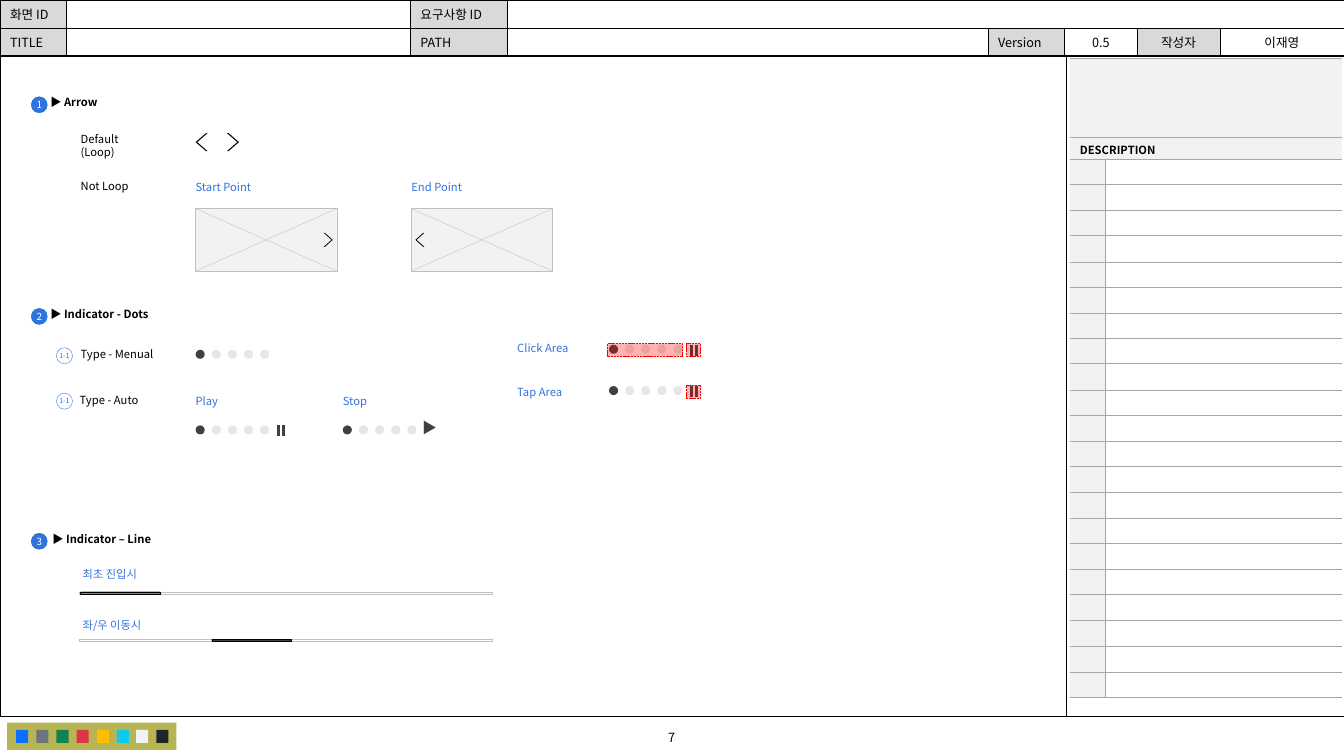
from dataclasses import dataclass

from lxml.etree import SubElement
from pptx import Presentation
from pptx.dml.color import RGBColor
from pptx.enum.dml import MSO_LINE
from pptx.enum.shapes import MSO_CONNECTOR, MSO_SHAPE as SHAPE
from pptx.enum.text import MSO_ANCHOR as ANCHOR, PP_ALIGN as ALIGN
from pptx.oxml.ns import qn
from pptx.util import Emu, Pt

SCALE = 9144
FONT = "Noto Sans CJK KR"
BLACK, WHITE, BLUE, DARK = "000000", "FFFFFF", "3272DE", "404040"
PALE, SILVER, PANEL, RED = "E7E6E6", "BFBFBF", "F2F2F2", "FF0000"
HEADER_GRAY, GRID_GRAY = "D9D9D9", "A6A6A6"
PALETTE = ["0D6EFD", "6C757D", "10834E", "DC3545", "FFBE00", "0DCAF0", "F2F2F2", "212529"]


@dataclass
class Section:
    number: str
    title: str
    left: int
    top: int


@dataclass
class Label:
    text: str
    left: int
    top: int
    width: int
    color: str = BLUE
    height: int = 13


@dataclass
class Dots:
    left: int
    top: int
    pause: bool = False


@dataclass
class HeaderCell:
    row: int
    column: int
    text: str
    centered: bool = False
    color: str = HEADER_GRAY


SECTIONS = [
    Section("1", "▶ Arrow", 40, 90),
    Section("2", "▶ Indicator - Dots", 40, 300),
    Section("3", "▶ Indicator – Line", 42, 523),
]
LABELS = [
    Label("Default (Loop)", 80, 131, 50, BLACK, 27),
    Label("Not Loop", 80, 178, 65, BLACK),
    Label("Start Point", 194, 179, 57),
    Label("End Point", 408, 179, 57),
    Label("Type - Menual", 80, 345, 123, BLACK),
    Label("Type - Auto", 79, 390, 82, BLACK),
    Label("Play", 194, 391, 28),
    Label("Stop", 340, 391, 28),
    Label("Click Area", 513, 339, 76),
    Label("Tap Area", 513, 382, 76),
    Label("최초 진입시", 82, 563, 63),
    Label("좌/우 이동시", 82, 613, 76),
]
INDICATORS = [Dots(194, 347), Dots(194, 422, True), Dots(340, 422),
              Dots(604, 342, True), Dots(604, 383, True)]
HEADER_CELLS = [
    HeaderCell(0, 0, "화면 ID"),
    HeaderCell(0, 2, "요구사항 ID"),
    HeaderCell(1, 0, "TITLE"),
    HeaderCell(1, 2, "PATH"),
    HeaderCell(1, 4, "Version"),
    HeaderCell(1, 5, "0.5", True, WHITE),
    HeaderCell(1, 6, "작성자", True),
    HeaderCell(1, 7, "이재영", True, WHITE),
]

presentation = Presentation()
presentation.slide_width, presentation.slide_height = Emu(1333 * SCALE), Emu(750 * SCALE)
slide = presentation.slides.add_slide(presentation.slide_layouts[6])


def px(*lengths: int) -> list[Emu]:
    """Turn px lengths into EMU."""
    return [Emu(length * SCALE) for length in lengths]


def rgb(color: str) -> RGBColor:
    """Make a colour from a hex string."""
    return RGBColor.from_string(color)


def write(frame, text: str, *, size: float = 8, color: str = BLACK, bold: bool = False,
          align=ALIGN.LEFT, anchor=ANCHOR.TOP, insets=(0, 0, 0, 0), wrap: bool = True) -> None:
    """Put one formatted paragraph into a text frame."""
    frame.word_wrap, frame.vertical_anchor = wrap, anchor
    frame.margin_left, frame.margin_top, frame.margin_right, frame.margin_bottom = px(*insets)
    paragraph = frame.paragraphs[0]
    paragraph.alignment = align
    run = paragraph.add_run()
    run.text = text
    run.font.size, run.font.bold, run.font.name = Pt(size), bold, FONT
    run.font.color.rgb = rgb(color)
    SubElement(run.font._element, qn("a:ea"), typeface=FONT)


def add_text(text: str, left: int, top: int, width: int, height: int, **style) -> None:
    """Add a text box."""
    write(slide.shapes.add_textbox(*px(left, top, width, height)).text_frame, text, **style)


def add_shape(kind, left: int, top: int, width: int, height: int, fill: str = "",
              line: str = "", weight: float = 0.25):
    """Add a preset shape; an empty colour means none."""
    shape = slide.shapes.add_shape(kind, *px(left, top, width, height))
    shape.shadow.inherit = False
    if fill:
        shape.fill.solid()
        shape.fill.fore_color.rgb = rgb(fill)
    else:
        shape.fill.background()
    if line:
        shape.line.color.rgb, shape.line.width = rgb(line), Pt(weight)
    else:
        shape.line.fill.background()
    return shape


def add_line(left: int, top: int, right: int, bottom: int, color: str, weight: float) -> None:
    """Add a straight line."""
    line = slide.shapes.add_connector(MSO_CONNECTOR.STRAIGHT, *px(left, top, right, bottom))
    line.line.color.rgb, line.line.width = rgb(color), Pt(weight)
    SubElement(line._element.spPr, qn("a:effectLst"))


def add_chevron(left: int, top: int, width: int, height: int, flipped: bool) -> None:
    """Add a thin arrow pointing right, or left if flipped."""
    shape = add_shape(SHAPE.CHEVRON, left, top, width, height, BLACK)
    shape.adjustments[0] = 0.865
    if flipped:
        shape._element.spPr.find(qn("a:xfrm")).set("flipH", "1")


def add_badge(text: str, left: int, top: int, size: float, fill: str, line: str, color: str) -> None:
    """Add a round numbered badge."""
    badge = add_shape(SHAPE.OVAL, left, top, 16, 16, fill, line)
    write(badge.text_frame, text, size=size, color=color, align=ALIGN.CENTER,
          anchor=ANCHOR.MIDDLE, insets=(0, 5, 0, 5), wrap=False)


def add_dots(dots: Dots) -> None:
    """Draw five dots, the first active, with an optional pause mark."""
    for index in range(5):
        add_shape(SHAPE.OVAL, dots.left + 16 * index, dots.top, 9, 9, PALE if index else DARK)
    if dots.pause:
        for left in (dots.left + 82, dots.left + 87):
            add_line(left, dots.top, left, dots.top + 11, DARK, 2.25)


def add_hit_area(left: int, top: int, width: int) -> None:
    """Mark a touch area in transparent red."""
    area = add_shape(SHAPE.RECTANGLE, left, top, width, 13, RED, RED, 0.5)
    area.line.dash_style = MSO_LINE.SQUARE_DOT
    SubElement(area._element.spPr.find(qn("a:solidFill"))[0], qn("a:alpha"), val="30000")


def add_table(left: int, top: int, columns: list[int], rows: list[int]):
    """Add an unbanded table."""
    frame = slide.shapes.add_table(len(rows), len(columns),
                                   *px(left, top, sum(columns), sum(rows)))
    table = frame.table
    table.first_row = table.horz_banding = False
    for parts, name, lengths in ((table.columns, "width", columns), (table.rows, "height", rows)):
        for part, length in zip(parts, lengths):
            setattr(part, name, px(length)[0])
    return table


def style_cell(cell, sides: str, line: str, fill: str) -> None:
    """Set the fill, the borders on the listed sides and a small empty line."""
    properties = cell._tc.get_or_add_tcPr()
    for side in "LRTB":
        border = SubElement(properties, qn(f"a:ln{side}"), w=str(Pt(0.5)))
        if side in sides:
            SubElement(SubElement(border, qn("a:solidFill")), qn("a:srgbClr"), val=line)
        else:
            SubElement(border, qn("a:noFill"))
    cell.fill.solid()
    cell.fill.fore_color.rgb = rgb(fill)
    cell.margin_top, cell.margin_bottom = px(0, 0)
    SubElement(cell.text_frame.paragraphs[0]._p, qn("a:endParaRPr"), sz="700")


def draw_frame() -> None:
    """Draw the header table, page frame, page number and palette."""
    header = add_table(0, 0, [66, 341, 96, 477, 76, 72, 82, 123], [28, 28])
    for cell in header.iter_cells():
        style_cell(cell, "LRTB", BLACK, WHITE)
    header.cell(0, 3).merge(header.cell(0, 7))
    for item in HEADER_CELLS:
        cell = header.cell(item.row, item.column)
        cell.fill.fore_color.rgb = rgb(item.color)
        write(cell.text_frame, item.text, size=9, insets=(10, 4, 10, 4),
              align=ALIGN.CENTER if item.centered else ALIGN.LEFT)
        cell.vertical_anchor = ANCHOR.MIDDLE
        cell.margin_left, cell.margin_top, cell.margin_right, cell.margin_bottom = px(10, 4, 10, 4)
    add_shape(SHAPE.RECTANGLE, 0, 55, 1333, 656, line=BLACK)
    add_text("7", 537, 719, 258, 25, size=9, align=ALIGN.CENTER, insets=(10, 5, 10, 5))
    add_line(1058, 56, 1058, 711, BLACK, 0.5)
    add_shape(SHAPE.RECTANGLE, 7, 717, 168, 27, "B7B553")
    for index, color in enumerate(PALETTE):
        add_shape(SHAPE.RECTANGLE, 16 + round(19.9 * index), 724, 12, 13, color)


def draw_description() -> None:
    """Draw the description table."""
    edges = [round(534 * index / 21) for index in range(22)]
    heights = [below - above for above, below in zip(edges, edges[1:])]
    table = add_table(1061, 58, [35, 235], [78, 22, *heights])
    for row in range(len(table.rows)):
        for column in range(2):
            sides = "TB" if row < 2 else ("TBR", "TBL")[column]
            fill = PANEL if row < 2 or column == 0 else WHITE
            style_cell(table.cell(row, column), sides, GRID_GRAY, fill)
    for row in range(2):
        table.cell(row, 0).merge(table.cell(row, 1))
    title = table.cell(1, 0)
    write(title.text_frame, "DESCRIPTION", bold=True)
    title.vertical_anchor = ANCHOR.MIDDLE
    title.margin_left, title.margin_top = px(10, 3)


def draw_content() -> None:
    """Draw the three component sections."""
    for section in SECTIONS:
        add_text(section.title, section.left, section.top, 191, 24, bold=True, insets=(10, 5, 10, 5))
        add_badge(section.number, 31, section.top + 6, 7, BLUE, "0070C0", WHITE)
    for label in LABELS:
        add_text(label.text, label.left, label.top, label.width, label.height, color=label.color)
    for top in (345, 390):
        add_badge("1-1", 56, top, 5, WHITE, BLUE, BLUE)
    for left, flipped in ((225, False), (194, True)):
        add_chevron(left, 132, 12, 18, flipped)
    for left, arrow_left, flipped in ((194, 321, False), (408, 412, True)):
        add_shape(SHAPE.RECTANGLE, left, 207, 140, 62, PANEL, SILVER)
        add_line(left, 207, left + 140, 269, SILVER, 0.25)
        add_line(left + 140, 207, left, 269, SILVER, 0.25)
        add_chevron(arrow_left, 231, 9, 14, flipped)
    for dots in INDICATORS:
        add_dots(dots)
    add_text("▶", 407, 411, 38, 27, size=10.5, color=DARK, align=ALIGN.CENTER, anchor=ANCHOR.MIDDLE)
    for left, top, width in ((681, 341, 14), (602, 341, 75), (681, 382, 14)):
        add_hit_area(left, top, width)
    for top, active_left in ((587, 80), (634, 210)):
        add_shape(SHAPE.RECTANGLE, 79, top, 409, 2, line=SILVER)
        add_shape(SHAPE.RECTANGLE, active_left, top, 79, 2, DARK, BLACK)


if __name__ == "__main__":
    draw_frame()
    draw_content()
    draw_description()
    presentation.save("out.pptx")
